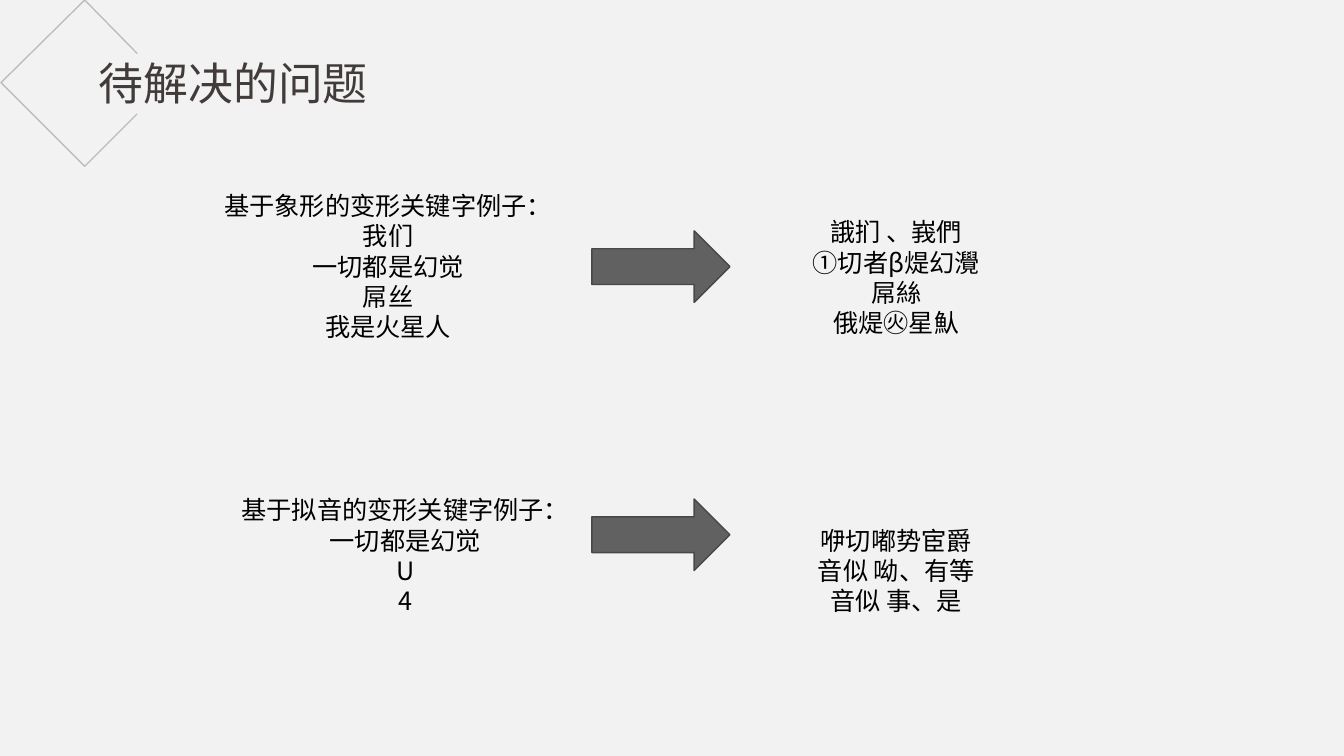
"""Build the slide on open problems: disguised keywords by shape and by sound."""
from dataclasses import dataclass

from lxml.etree import SubElement
from pptx import Presentation
from pptx.dml.color import RGBColor
from pptx.enum.shapes import MSO_SHAPE
from pptx.enum.text import PP_ALIGN
from pptx.oxml.ns import qn
from pptx.util import Inches, Pt

HEADING = "待解决的问题"
EXAMPLES = [
    {
        "keywords": ["基于象形的变形关键字例子：", "我们", "一切都是幻觉", "屌丝", "我是火星人"],
        "disguises": ["誐扪 、峩們", "①切者β煶幻灚", "屌絲", "俄煶㊋星魜"],
        "keywords_at": (1.63, 1.84),
        "disguises_top": 2.1,
        "arrow_top": 2.29,
    },
    {
        "keywords": ["基于拟音的变形关键字例子：", "一切都是幻觉", "U", "4"],
        "disguises": ["咿切嘟势宦爵", "音似 呦、有等", "音似 事、是"],
        "keywords_at": (1.8, 4.86),
        "disguises_top": 5.16,
        "arrow_top": 4.95,
    },
]
DIAMOND = [(1.36, 0.53), (0.84, 0), (0.01, 0.82), (0.84, 1.65), (1.36, 1.13)]
SLIDE_WIDTH, SLIDE_HEIGHT = 13.33, 7.5
COLUMN_WIDTH, DISGUISES_LEFT = 4.44, 6.67
ARROW_LEFT, ARROW_WIDTH, ARROW_HEIGHT = 5.87, 1.37, 0.71
LINE_HEIGHT, BOX_PADDING = 0.3, 0.1


@dataclass(frozen=True)
class Theme:
    """Colours, font and type sizes of the slide."""
    font: str = "Noto Sans CJK JP"
    heading_size: int = 32
    body_size: int = 18
    background: str = "F2F2F2"
    heading: str = "413B39"
    body: str = "000000"
    arrow: str = "616161"
    arrow_edge: str = "484848"
    diamond: str = "808080"
    diamond_opacity: int = 45


THEME = Theme()


def add_lines(slide, lines, left, top, width, height, size, color):
    """Add centred lines of text, one paragraph each."""
    frame = slide.shapes.add_textbox(*map(Inches, (left, top, width, height))).text_frame
    frame.word_wrap = True
    frame.text = "\n".join(lines)
    for paragraph in frame.paragraphs:
        paragraph.alignment = PP_ALIGN.CENTER
        for run in paragraph.runs:
            run.font.size = Pt(size)
            run.font.name = THEME.font
            run.font.color.rgb = RGBColor.from_string(color)
            SubElement(run.font._element, qn("a:ea"), typeface=THEME.font)


def add_body(slide, lines, left, top):
    """Add one column of example lines."""
    height = len(lines) * LINE_HEIGHT + BOX_PADDING
    add_lines(slide, lines, left, top, COLUMN_WIDTH, height, THEME.body_size, THEME.body)


def add_diamond(slide):
    """Add the open diamond outline behind the heading."""
    start, *corners = [(Inches(x), Inches(y)) for x, y in DIAMOND]
    builder = slide.shapes.build_freeform(*start)
    builder.add_line_segments(corners, close=False)
    diamond = builder.convert_to_shape()
    diamond.shadow.inherit = False
    diamond.fill.background()
    diamond.line.width = Pt(1)
    diamond.line.color.rgb = RGBColor.from_string(THEME.diamond)
    tint = diamond.line.fill._xPr.find(".//" + qn("a:srgbClr"))
    SubElement(tint, qn("a:alpha"), val=str(THEME.diamond_opacity * 1000))


def add_arrow(slide, top):
    """Add the arrow that leads from keywords to disguises."""
    arrow = slide.shapes.add_shape(
        MSO_SHAPE.RIGHT_ARROW, *map(Inches, (ARROW_LEFT, top, ARROW_WIDTH, ARROW_HEIGHT)))
    arrow.shadow.inherit = False
    arrow.fill.solid()
    arrow.fill.fore_color.rgb = RGBColor.from_string(THEME.arrow)
    arrow.line.color.rgb = RGBColor.from_string(THEME.arrow_edge)
    arrow.line.width = Pt(1)


def main():
    """Build and save the presentation."""
    deck = Presentation()
    deck.slide_width, deck.slide_height = Inches(SLIDE_WIDTH), Inches(SLIDE_HEIGHT)
    slide = deck.slides.add_slide(deck.slide_layouts[6])
    slide.background.fill.solid()
    slide.background.fill.fore_color.rgb = RGBColor.from_string(THEME.background)

    add_lines(slide, [HEADING], 0.45, 0.5, 3.73, 0.64, THEME.heading_size, THEME.heading)
    add_diamond(slide)
    for example in EXAMPLES:
        add_body(slide, example["keywords"], *example["keywords_at"])
        add_arrow(slide, example["arrow_top"])
        add_body(slide, example["disguises"], DISGUISES_LEFT, example["disguises_top"])
    deck.save("out.pptx")


if __name__ == "__main__":
    main()
